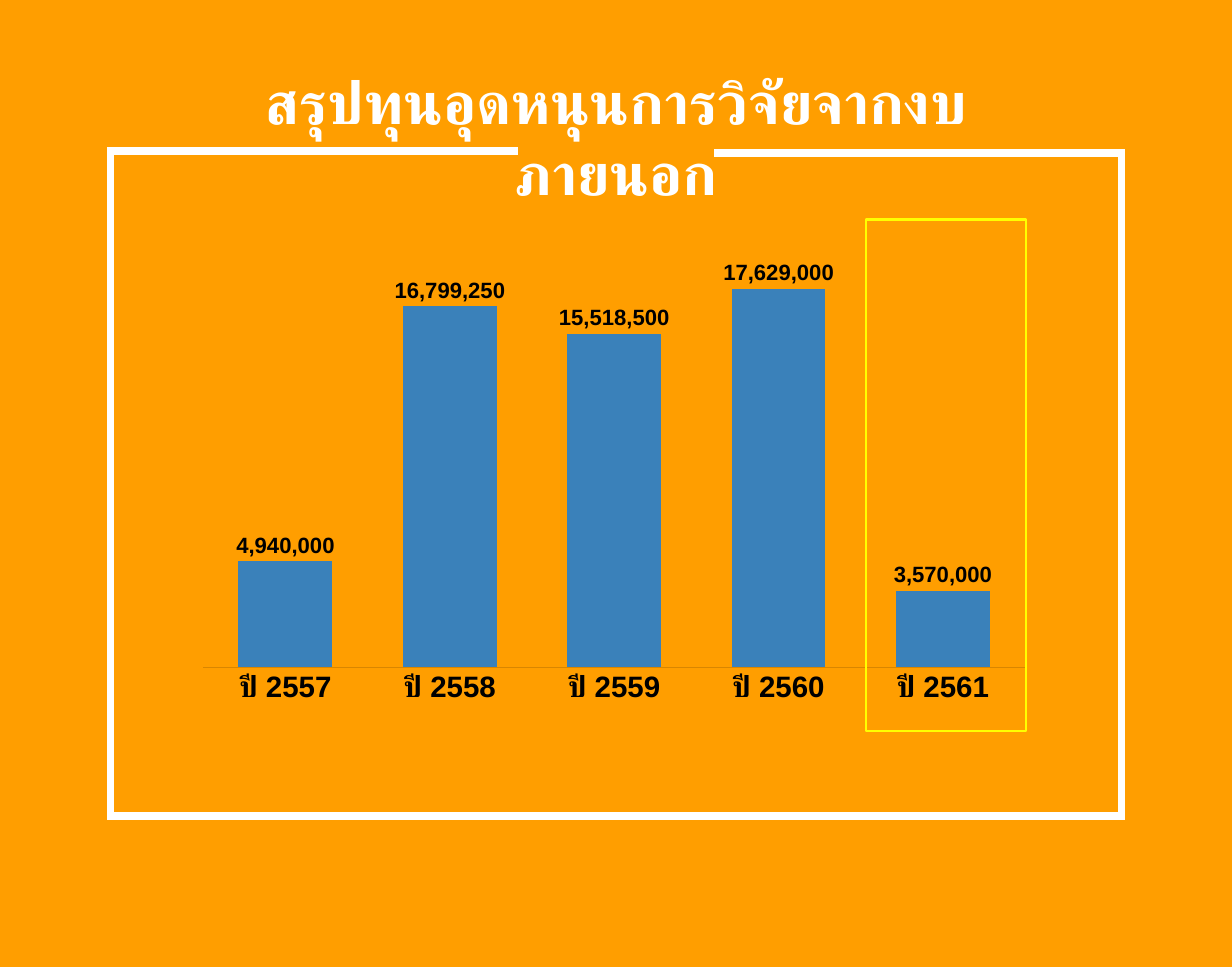
from lxml import etree
from pptx import Presentation
from pptx.chart.data import CategoryChartData
from pptx.dml.color import RGBColor
from pptx.enum import chart as ch, shapes, text
from pptx.oxml import ns
from pptx.util import Inches, Pt

COLOURS = {"background": "FF9E00", "frame": "FFFFFF", "title": "FFFFFF",
           "bar": "3A81BA", "label": "000000", "axis": "D98600",
           "highlight": "FFFF00"}
FONT = "Arial"
FUNDING = {"ปี 2557": 4940000, "ปี 2558": 16799250, "ปี 2559": 15518500,
           "ปี 2560": 17629000, "ปี 2561": 3570000}
FRAME = [(5.86, 1.71), (1.25, 1.71), (1.25, 9.23),
         (12.69, 9.23), (12.69, 1.73), (8.08, 1.73)]
# Left, top, width and height in inches
CHART_BOX = (2.11, 2.58, 9.7, 5.5)
PLOT_BOX = (2.3, 2.69, 9.3, 4.86)


def colour(name):
    return RGBColor.from_string(COLOURS[name])


def style_font(font, size, name):
    font.name = FONT
    font.size = Pt(size)
    font.bold = True
    font.color.rgb = colour(name)


def outline(shape, name, width):
    shape.shadow.inherit = False
    shape.fill.background()
    shape.line.color.rgb = colour(name)
    shape.line.width = Pt(width)


def add_frame(slide):
    start, *corners = [(Inches(x), Inches(y)) for x, y in FRAME]
    builder = slide.shapes.build_freeform(*start)
    builder.add_line_segments(corners, close=False)
    frame = builder.convert_to_shape()
    outline(frame, "frame", 6)
    # Sharp corners
    line = frame._element.spPr.find(ns.qn("a:ln"))
    etree.SubElement(line, ns.qn("a:miter"), lim="800000")


def set_title(slide, wording):
    title = slide.shapes.title
    title.left, title.top = Inches(2.47), Inches(0.59)
    title.width, title.height = Inches(9), Inches(1.25)
    frame = title.text_frame
    frame.text = wording
    frame.word_wrap = True
    frame.auto_size = text.MSO_AUTO_SIZE.NONE
    frame.vertical_anchor = text.MSO_ANCHOR.TOP
    frame.margin_left = frame.margin_right = Inches(0.15)
    frame.margin_top = frame.margin_bottom = Inches(0.15)
    heading = frame.paragraphs[0]
    heading.alignment = text.PP_ALIGN.CENTER
    style_font(heading.font, 48, "title")


def place_plot(chart):
    """Fix the inner plot area as fractions of the chart."""
    plot_area = chart.plots[0]._element.getparent()
    layout = plot_area.find(ns.qn("c:layout"))
    if layout is None:
        layout = etree.Element(ns.qn("c:layout"))
        plot_area.insert(0, layout)
    manual = etree.SubElement(layout, ns.qn("c:manualLayout"))
    chart_left, chart_top, chart_width, chart_height = CHART_BOX
    left, top, width, height = PLOT_BOX
    settings = {"layoutTarget": "inner", "xMode": "edge", "yMode": "edge",
                "x": (left - chart_left) / chart_width,
                "y": (top - chart_top) / chart_height,
                "w": width / chart_width, "h": height / chart_height}
    for tag, value in settings.items():
        etree.SubElement(manual, ns.qn(f"c:{tag}"), val=str(value))


def add_funding_chart(slide):
    data = CategoryChartData(number_format="#,##0")
    data.categories = list(FUNDING)
    data.add_series("Series 1", list(FUNDING.values()))
    chart = slide.shapes.add_chart(
        ch.XL_CHART_TYPE.COLUMN_CLUSTERED, *map(Inches, CHART_BOX), data).chart
    chart.has_legend = chart.has_title = False
    chart.font.name = FONT
    chart.font.size = Pt(10)
    chart.font.color.rgb = colour("label")
    place_plot(chart)

    # Axes
    years, amounts = chart.category_axis, chart.value_axis
    years.major_tick_mark = ch.XL_TICK_MARK.NONE
    years.format.line.color.rgb = colour("axis")
    years.format.line.width = Pt(0.75)
    style_font(years.tick_labels.font, 24, "label")
    amounts.visible = amounts.has_major_gridlines = False
    amounts.minimum_scale, amounts.maximum_scale = 0, 20000000

    # Bars and their values
    plot = chart.plots[0]
    plot.gap_width = 75
    plot.vary_by_categories = False
    bars = plot.series[0]
    bars.format.fill.solid()
    bars.format.fill.fore_color.rgb = colour("bar")
    labels = bars.data_labels
    labels.show_value = True
    labels.number_format = "#,##0"
    labels.number_format_is_linked = False
    labels.position = ch.XL_LABEL_POSITION.OUTSIDE_END
    style_font(labels.font, 18, "label")


def add_highlight(slide):
    highlight = slide.shapes.add_shape(
        shapes.MSO_SHAPE.RECTANGLE, Inches(9.8), Inches(2.48),
        Inches(1.81), Inches(5.79))
    outline(highlight, "highlight", 2.25)


def main():
    deck = Presentation()
    deck.slide_width, deck.slide_height = Inches(13.94), Inches(10.94)
    slide = deck.slides.add_slide(deck.slide_layouts[5])
    slide.background.fill.solid()
    slide.background.fill.fore_color.rgb = colour("background")

    add_frame(slide)
    set_title(slide, "สรุปทุนอุดหนุนการวิจัยจากงบภายนอก")
    add_funding_chart(slide)
    add_highlight(slide)
    deck.save("out.pptx")


if __name__ == "__main__":
    main()
